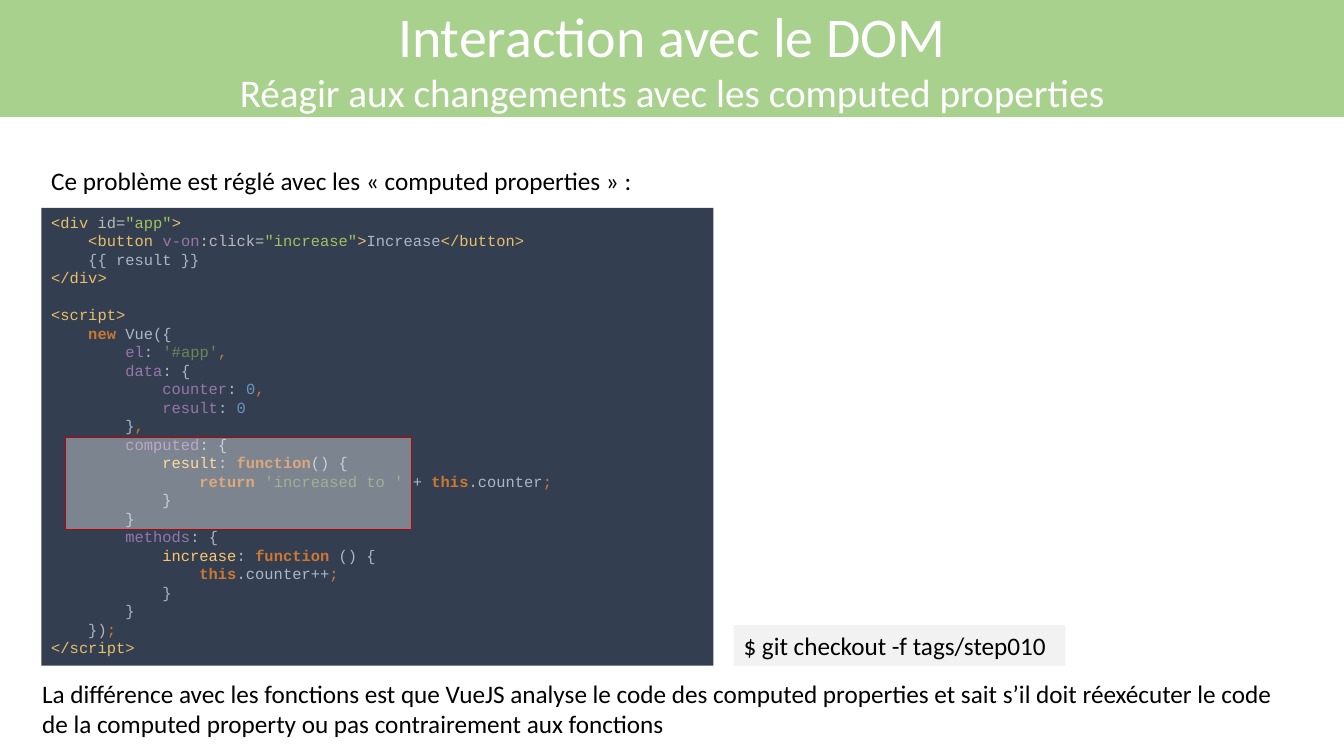
import pptx
import pptx.util
import pptx.dml.color
import pptx.enum.shapes
import pptx.enum.text
import pptx.oxml.ns
from lxml import etree

Pt = pptx.util.Pt
PP_ALIGN = pptx.enum.text.PP_ALIGN
ANCHOR = pptx.enum.text.MSO_ANCHOR

# Content
TITLE = [("Interaction avec le DOM", 40),
         ("Réagir aux changements avec les computed properties", 28)]
INTRO = "Ce problème est réglé avec les «\u00a0computed properties\u00a0» :"
CONCLUSION = ("La différence avec les fonctions est que VueJS analyse le code des "
              "computed properties et sait s’il doit réexécuter le code de la "
              "computed property ou pas contrairement aux fonctions")
COMMAND = "$ git checkout -f tags/step010"

SYNTAX = {"tag": "E8BF6A", "attr": "BABABA", "value": "A5C261", "prop": "9876AA",
          "plain": "A9B7C6", "key": "CC7832", "punct": "CC7832", "str": "6A8759",
          "num": "6897BB", "func": "FFC66D"}
CODE = [
    [("tag", "<div "), ("attr", "id="), ("value", '"app"'), ("tag", ">")],
    [("tag", "    <button "), ("prop", "v-on"), ("attr", ":click="),
     ("value", '"increase"'), ("tag", ">"), ("plain", "Increase"), ("tag", "</button>")],
    [("plain", "    {{ result }}")],
    [("tag", "</div>")],
    [],
    [("tag", "<script>")],
    [("key", "    new "), ("plain", "Vue({")],
    [("prop", "        el"), ("plain", ": "), ("str", "'#app'"), ("punct", ",")],
    [("prop", "        data"), ("plain", ": {")],
    [("prop", "            counter"), ("plain", ": "), ("num", "0"), ("punct", ",")],
    [("prop", "            result"), ("plain", ": "), ("num", "0")],
    [("plain", "        }"), ("punct", ",")],
    [("prop", "        computed"), ("plain", ": {")],
    [("func", "            result"), ("plain", ": "), ("key", "function"),
     ("plain", "() {")],
    [("key", "                return "), ("str", "'increased to ' "), ("plain", "+ "),
     ("key", "this"), ("plain", ".counter"), ("punct", ";")],
    [("plain", "            }")],
    [("plain", "        }")],
    [("prop", "        methods"), ("plain", ": {")],
    [("func", "            increase"), ("plain", ": "), ("key", "function "),
     ("plain", "() {")],
    [("key", "                this"), ("plain", ".counter++"), ("punct", ";")],
    [("plain", "            }")],
    [("plain", "        }")],
    [("plain", "    })"), ("punct", ";")],
    [("tag", "</script>")],
]

# Places in points: left, top, width, height
BANNER_AT = (-0.5, 0, 961, 83.5)
INTRO_AT = (29.5, 114.5, 901, 29)
CODE_AT = (29.5, 148.5, 480, 327)
CONCLUSION_AT = (23, 481, 913, 51)
HIGHLIGHT_AT = (47, 312.5, 247, 66)
COMMAND_AT = (524, 446.5, 237, 29)


def rgb(color):
    return pptx.dml.color.RGBColor.from_string(color)


def add_run(p, text, color, **font):
    r = p.add_run()
    r.text = text
    r.font.color.rgb = rgb(color)
    for name, value in font.items():
        setattr(r.font, name, value)


def set_frame(tf, anchor=ANCHOR.TOP):
    settings = {"word_wrap": True, "vertical_anchor": anchor,
                "auto_size": pptx.enum.text.MSO_AUTO_SIZE.NONE}
    for name, value in settings.items():
        setattr(tf, name, value)


def add_panel(s, at, fill):
    sp = s.shapes.add_shape(pptx.enum.shapes.MSO_SHAPE.RECTANGLE, *map(Pt, at))
    sp.shadow.inherit = False
    sp.fill.solid()
    sp.fill.fore_color.rgb = rgb(fill)
    sp.line.fill.background()
    return sp


def write_body(sp, text):
    set_frame(sp.text_frame)
    p = sp.text_frame.paragraphs[0]
    p.alignment = PP_ALIGN.LEFT
    add_run(p, text, "000000", name="Calibri", size=Pt(18))


prs = pptx.Presentation()
prs.slide_width, prs.slide_height = Pt(960), Pt(540)
s = prs.slides.add_slide(prs.slide_layouts[5])

# Title banner
title = s.shapes.title
for name, value in zip(("left", "top", "width", "height"), BANNER_AT):
    setattr(title, name, Pt(value))
title.fill.solid()
title.fill.fore_color.rgb = rgb("A9D18E")
tf = title.text_frame
set_frame(tf, ANCHOR.MIDDLE)
for i, (text, size) in enumerate(TITLE):
    p = tf.add_paragraph() if i else tf.paragraphs[0]
    p.alignment = PP_ALIGN.CENTER
    p.line_spacing = 1.0
    add_run(p, text, "FFFFFF", name="Calibri", size=Pt(size))

# Introduction
write_body(s.shapes.add_textbox(*map(Pt, INTRO_AT)), INTRO)

# Code panel
panel = add_panel(s, CODE_AT, "333F50")
set_frame(panel.text_frame)
p = panel.text_frame.paragraphs[0]
p.alignment = PP_ALIGN.LEFT
p.font.size = Pt(11)
for i, line in enumerate(CODE):
    if i:
        p.add_line_break()
    for kind, text in line:
        add_run(p, text, SYNTAX[kind], name="Courier New", size=Pt(11),
                bold=kind == "key")
for br in p._p.findall(pptx.oxml.ns.qn("a:br")):
    etree.SubElement(br, pptx.oxml.ns.qn("a:rPr"), sz="1100")

# Conclusion
write_body(s.shapes.add_textbox(*map(Pt, CONCLUSION_AT)), CONCLUSION)

# Translucent highlight over the computed block
highlight = add_panel(s, HIGHLIGHT_AT, "FFFFFF")
highlight.line.color.rgb = rgb("C00000")
highlight.line.width = Pt(1)
fill_color = highlight.fill._xPr.find(".//" + pptx.oxml.ns.qn("a:srgbClr"))
etree.SubElement(fill_color, pptx.oxml.ns.qn("a:alpha"), val="36000")

# Command
write_body(add_panel(s, COMMAND_AT, "F2F2F2"), COMMAND)

prs.save("out.pptx")
